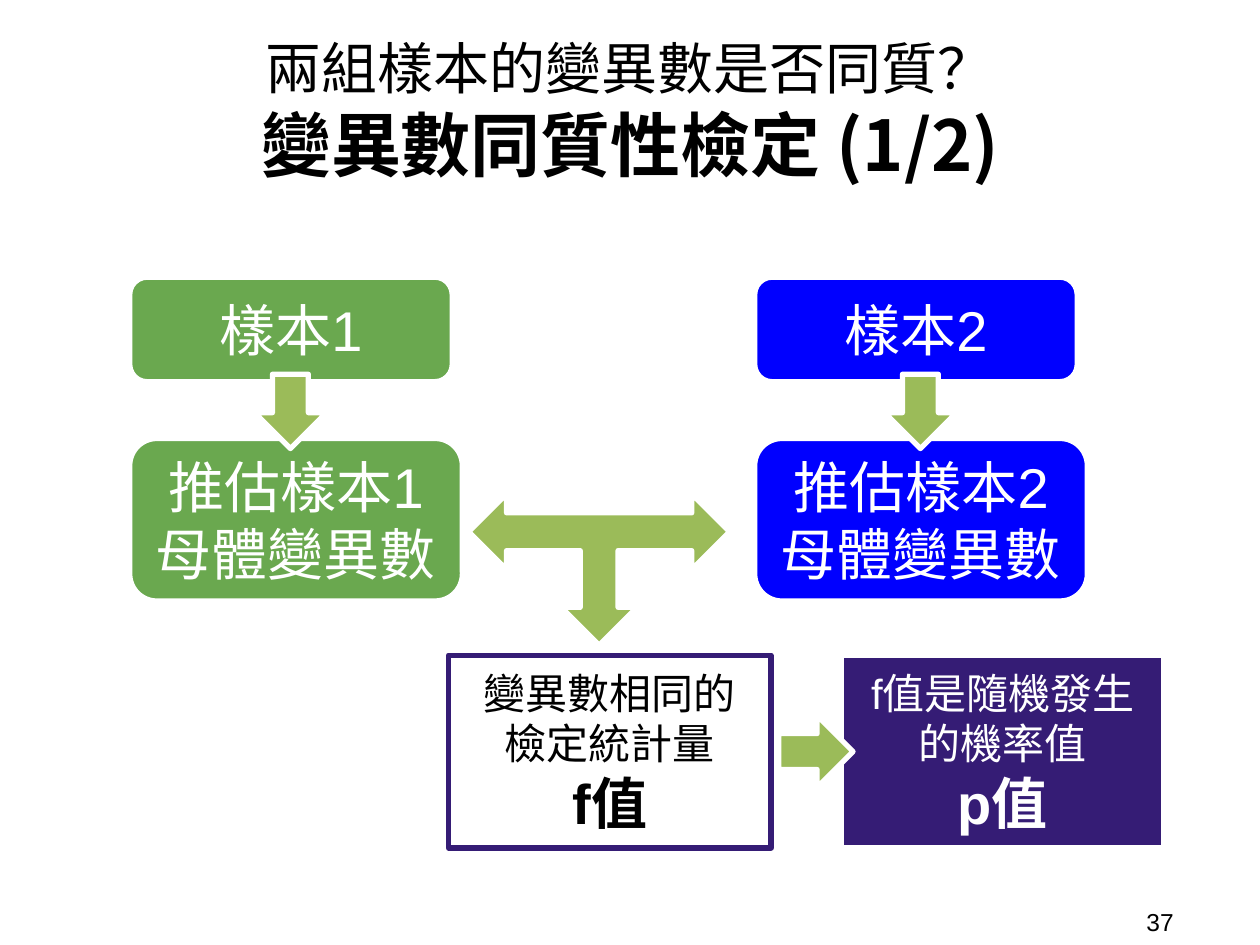
import pptx
import pptx.util
import pptx.dml.color
import pptx.enum.shapes
import pptx.enum.text
import lxml.etree
from pptx.oxml.ns import qn
from pptx.util import Inches, Pt

COLORS = {
    "black": "000000", "white": "FFFFFF", "green": "6AA84F",
    "blue": "0000FF", "purple": "351C75", "arrow": "9BBB59",
}
CJK_FONT = "Noto Sans CJK TC"
SHAPES = pptx.enum.shapes.MSO_SHAPE
ALIGN = pptx.enum.text.PP_ALIGN


def rgb(name):
    return pptx.dml.color.RGBColor.from_string(COLORS[name])


def write(shape, lines, color, font_name="Arial", align=ALIGN.CENTER, inset=0.1):
    """Fill a shape with (text, size, bold) paragraphs."""
    frame = shape.text_frame
    frame.word_wrap = True
    frame.vertical_anchor = pptx.enum.text.MSO_ANCHOR.MIDDLE
    frame.margin_left = frame.margin_right = Inches(0.1)
    frame.margin_top = frame.margin_bottom = Inches(inset)
    for index, (text, size, bold) in enumerate(lines):
        paragraph = frame.paragraphs[0] if index == 0 else frame.add_paragraph()
        paragraph.text = text
        paragraph.alignment = align
        font = paragraph.font
        font.name, font.size, font.bold = font_name, Pt(size), bold
        font.color.rgb = rgb(color)
        east_asian = lxml.etree.SubElement(font._element.find(qn("a:defRPr"))
                                           if font._element.tag == qn("a:pPr")
                                           else font._element, qn("a:ea"))
        east_asian.set("typeface", CJK_FONT)


presentation = pptx.Presentation()
presentation.slide_width = Inches(10)
presentation.slide_height = Inches(7.5)
slide = presentation.slides.add_slide(presentation.slide_layouts[6])

# Page number and title
number = slide.shapes.add_textbox(Inches(9), Inches(7.17), Inches(0.92), Inches(0.29))
write(number, [("37", 14, False)], "black", align=ALIGN.LEFT, inset=0.05)
title = slide.shapes.add_textbox(Inches(0.52), Inches(0.19), Inches(8.96), Inches(1.36))
write(title, [("兩組樣本的變異數是否同質？", 32, False),
              ("變異數同質性檢定 (1/2)", 40, True)], "black", CJK_FONT)

# Boxes: kind, left, top, width, height, fill, line, text colour, paragraphs
boxes = []
for sample, left, fill in ((1, 1.03, "green"), (2, 5.99, "blue")):
    boxes += [
        (SHAPES.ROUNDED_RECTANGLE, left, 2.2, 2.56, 0.83, fill, "white", "white",
         [(f"樣本{sample}", 32, False)]),
        (SHAPES.ROUNDED_RECTANGLE, left, 3.48, 2.64, 1.29, fill, "white", "white",
         [(f"推估樣本{sample}", 32, False), ("母體變異數", 32, False)]),
    ]
boxes += [
    (SHAPES.RECTANGLE, 3.56, 5.2, 2.56, 1.53, "white", "purple", "black",
     [("變異數相同的\v檢定統計量", 24, False), ("f值", 32, True)]),
    (SHAPES.RECTANGLE, 6.68, 5.2, 2.56, 1.53, "purple", "white", "white",
     [("f值是隨機發生的機率值", 24, False), ("p值", 32, True)]),
]

# Block arrows: no text
arrows = [
    (SHAPES.RIGHT_ARROW, 6.18, 5.68, 0.59, 0.57),
    (SHAPES.LEFT_RIGHT_UP_ARROW, 3.72, 3.92, 2.07, 1.2),
    (SHAPES.DOWN_ARROW, 7.02, 2.97, 0.57, 0.59),
    (SHAPES.DOWN_ARROW, 2.02, 2.97, 0.57, 0.59),
]
boxes += [(*arrow, "arrow", "white", "white", []) for arrow in arrows]

for kind, left, top, width, height, fill, line, color, lines in boxes:
    shape = slide.shapes.add_shape(
        kind, Inches(left), Inches(top), Inches(width), Inches(height))
    shape.shadow.inherit = False
    shape.fill.solid()
    shape.fill.fore_color.rgb = rgb(fill)
    shape.line.color.rgb = rgb(line)
    shape.line.width = Pt(3)
    if kind == SHAPES.LEFT_RIGHT_UP_ARROW:
        shape.rotation = 180
    if lines:
        write(shape, lines, color)

presentation.save("out.pptx")
